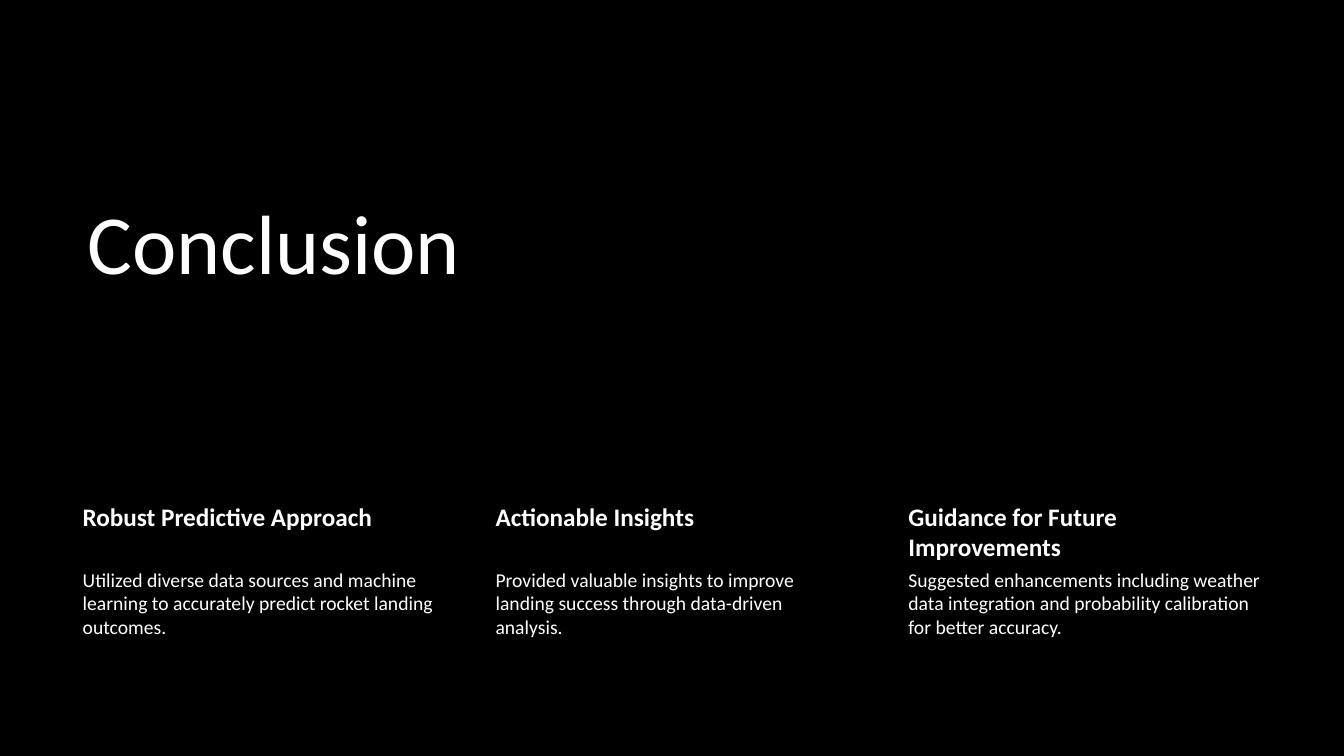
"""Build the conclusion slide with a title and three takeaways."""
from dataclasses import dataclass

from pptx import Presentation
from pptx.dml.color import RGBColor
from pptx.enum.text import MSO_ANCHOR
from pptx.util import Inches, Pt


@dataclass(frozen=True)
class Theme:
    """Hold the colours, font and type sizes of the slide."""
    background: RGBColor = RGBColor(0x00, 0x00, 0x00)
    text: RGBColor = RGBColor(0xFF, 0xFF, 0xFF)
    font: str = "Calibri"
    title: int = 60
    heading: int = 18
    body: int = 14


THEME = Theme()
COLUMN_LEFT, COLUMN_STEP, COLUMN_WIDTH = 0.67, 4.095, 3.72
HEADING_TOP, HEADING_HEIGHT = 4.94, 0.67
BODY_TOP, BODY_HEIGHT = 5.61, 1.89
TAKEAWAYS = [
    ("Robust Predictive Approach",
     "Utilized diverse data sources and machine learning to accurately "
     "predict rocket landing outcomes."),
    ("Actionable Insights",
     "Provided valuable insights to improve landing success through "
     "data-driven analysis."),
    ("Guidance for Future Improvements",
     "Suggested enhancements including weather data integration and "
     "probability calibration for better accuracy."),
]


def add_text(page, text, place, size, insets, bold=False):
    """Add a wrapped text box with one paragraph and return its frame."""
    frame = page.shapes.add_textbox(*map(Inches, place)).text_frame
    frame.word_wrap = True
    frame.margin_left, frame.margin_top, frame.margin_right, frame.margin_bottom = map(
        Inches, insets)
    frame.text = text
    font = frame.paragraphs[0].runs[0].font
    font.name, font.size, font.bold = THEME.font, Pt(size), bold
    font.color.rgb = THEME.text
    return frame


def add_title(page, text):
    """Add the large title, resting on the bottom of its box."""
    frame = add_text(page, text, (0.77, 1.71, 8.03, 1.24), THEME.title,
                     (0.1, 0.05, 0.1, 0.05))
    frame.vertical_anchor = MSO_ANCHOR.BOTTOM
    frame.paragraphs[0].line_spacing = 0.9


def add_takeaway(page, column, heading, body):
    """Add one column with a bold heading above its explanation."""
    left = COLUMN_LEFT + column * COLUMN_STEP
    add_text(page, heading, (left, HEADING_TOP, COLUMN_WIDTH, HEADING_HEIGHT),
             THEME.heading, (0.15, 0.03, 0.03, 0.03), bold=True)
    add_text(page, body, (left, BODY_TOP, COLUMN_WIDTH, BODY_HEIGHT),
             THEME.body, (0.15, 0.02, 0.02, 0.02))


def main():
    """Build and save the deck."""
    deck = Presentation()
    deck.slide_width, deck.slide_height = Inches(13.33), Inches(7.5)
    page = deck.slides.add_slide(deck.slide_layouts[6])
    page.background.fill.solid()
    page.background.fill.fore_color.rgb = THEME.background
    add_title(page, "Conclusion")
    for column, (heading, body) in enumerate(TAKEAWAYS):
        add_takeaway(page, column, heading, body)
    deck.save("out.pptx")


if __name__ == "__main__":
    main()
